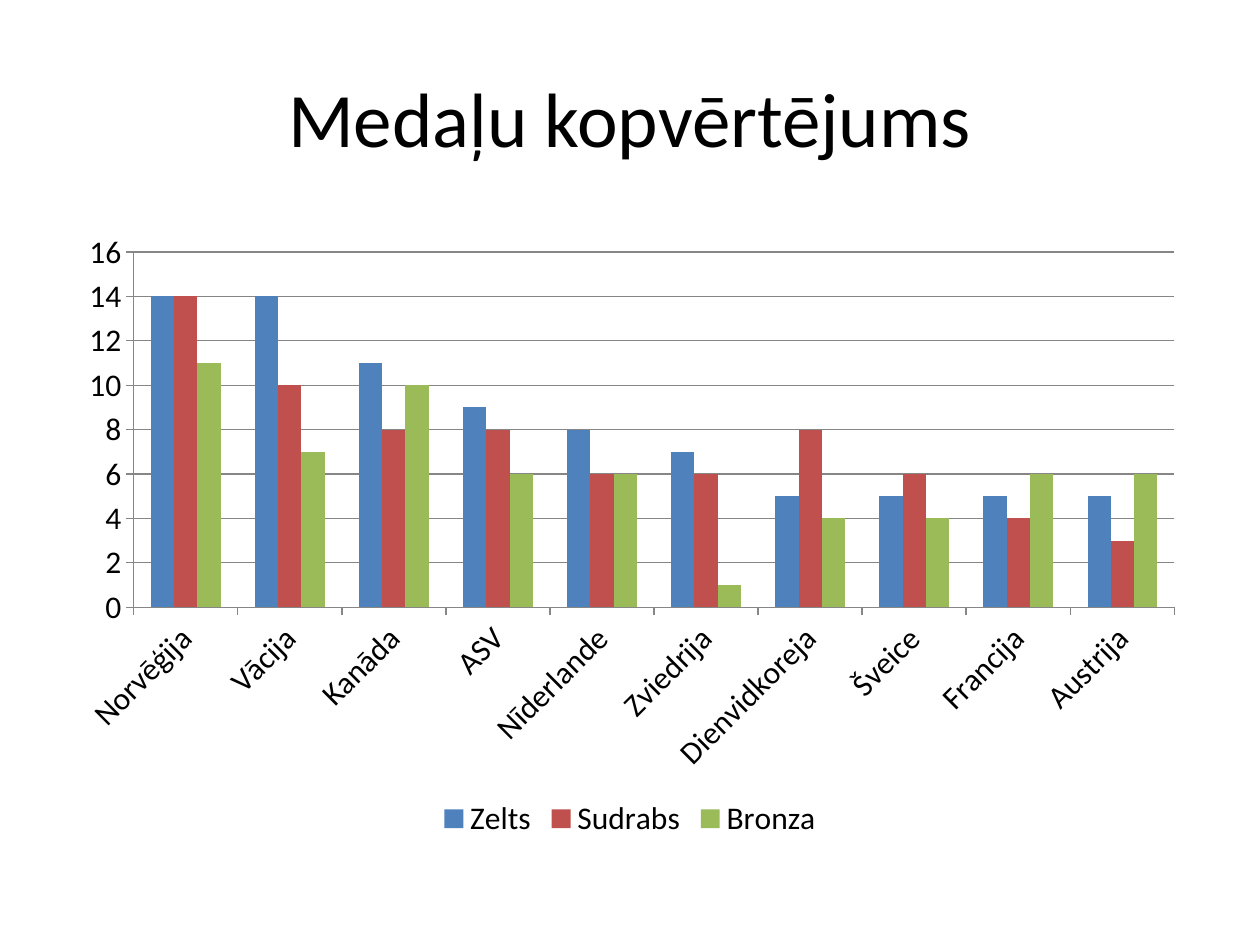
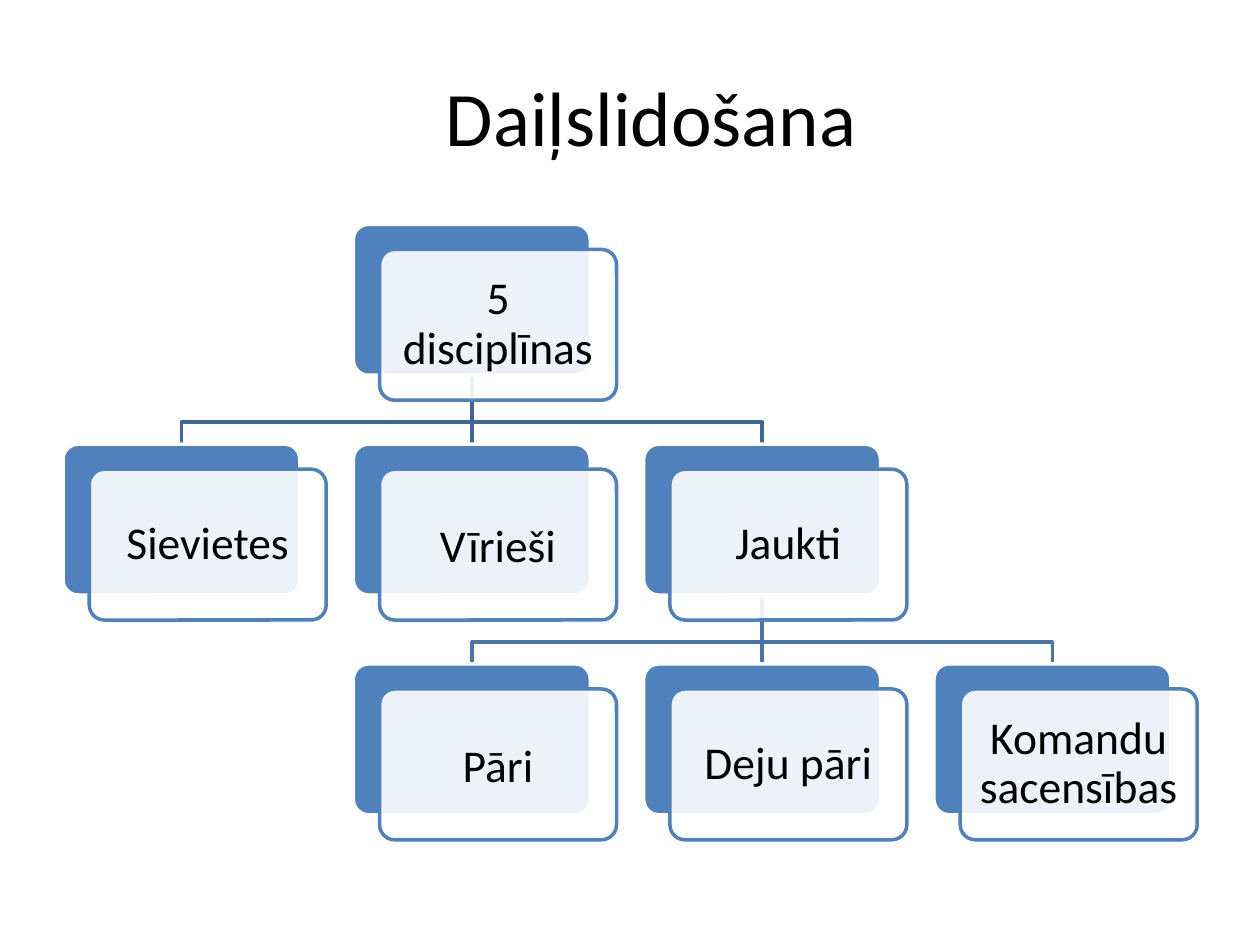
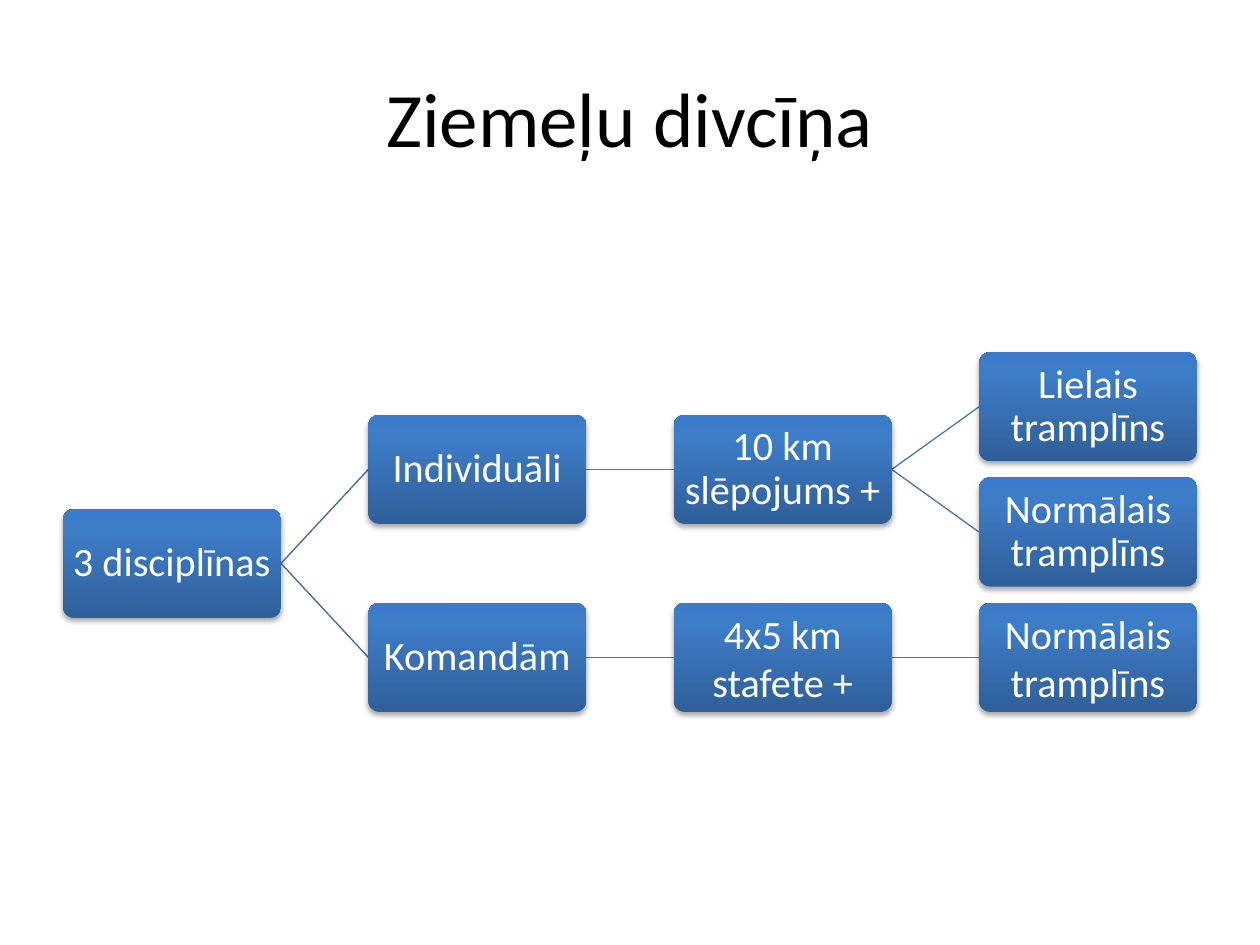
from typing import Any, NamedTuple

import lxml.etree
import pptx
import pptx.chart.data
import pptx.dml.color
import pptx.enum.chart
import pptx.enum.shapes
import pptx.enum.text
import pptx.oxml.ns
import pptx.util

Pt = pptx.util.Pt
RGBColor = pptx.dml.color.RGBColor
qn = pptx.oxml.ns.qn
MSO_SHAPE = pptx.enum.shapes.MSO_SHAPE

FONT = "Calibri"
BLACK = RGBColor(0x00, 0x00, 0x00)
WHITE = RGBColor(0xFF, 0xFF, 0xFF)
BLUE = RGBColor(0x4F, 0x81, 0xBD)
RED = RGBColor(0xC0, 0x50, 0x4D)
GREEN = RGBColor(0x9B, 0xBB, 0x59)
AXIS_GREY = RGBColor(0x86, 0x86, 0x86)
LINK_DARK = RGBColor(0x3F, 0x67, 0x97)
LINK_LIGHT = RGBColor(0x48, 0x75, 0xAC)
GRADIENT = (
    (0, RGBColor(0x2F, 0x5F, 0x99)),
    (80, RGBColor(0x3D, 0x7C, 0xC7)),
    (100, RGBColor(0x3A, 0x7C, 0xCB)),
)


class Node(NamedTuple):
    """A box on a grid; col and row count grid steps."""
    col: float
    row: float
    text: str
    tight: bool = True


class Link(NamedTuple):
    parent: Node
    child: Node
    color: RGBColor


class Grid(NamedTuple):
    """Origin, steps and box size, in points."""
    left: float
    top: float
    step_x: float
    step_y: float
    width: float
    height: float

    def corner(self, node: Node) -> tuple[float, float]:
        return self.left + node.col * self.step_x, self.top + node.row * self.step_y


class Medals(NamedTuple):
    name: str
    counts: tuple[int, ...]
    color: RGBColor


COUNTRIES = ("Norvēģija", "Vācija", "Kanāda", "ASV", "Nīderlande",
             "Zviedrija", "Dienvidkoreja", "Šveice", "Francija", "Austrija")
MEDALS = (
    Medals("Zelts", (14, 14, 11, 9, 8, 7, 5, 5, 5, 5), BLUE),
    Medals("Sudrabs", (14, 10, 8, 8, 6, 6, 8, 6, 4, 3), RED),
    Medals("Bronza", (11, 7, 10, 6, 6, 1, 4, 4, 6, 6), GREEN),
)

SKATING_GRID = Grid(36, 128.2, 165.9, 125.6, 135.4, 86.2)
SKATING = Node(1, 0, "5 disciplīnas")
WOMEN = Node(0, 1, "Sievietes")
MEN = Node(1, 1, "Vīrieši", tight=False)
MIXED = Node(2, 1, "Jaukti")
PAIRS = Node(1, 2, "Pāri", tight=False)
DANCE = Node(2, 2, "Deju pāri")
TEAM_EVENT = Node(3, 2, "Komandu sacensības")
SKATING_NODES = (SKATING, WOMEN, MEN, MIXED, PAIRS, DANCE, TEAM_EVENT)
SKATING_LINKS = (
    *(Link(MIXED, child, LINK_LIGHT) for child in (TEAM_EVENT, DANCE, PAIRS)),
    *(Link(SKATING, child, LINK_DARK) for child in (MIXED, MEN, WOMEN)),
)

NORDIC_GRID = Grid(36, 201.3, 174.5, 35.8, 124.6, 62.3)
NORDIC = Node(0, 2.5, "3 disciplīnas")
INDIVIDUAL = Node(1, 1, "Individuāli")
SKI_10 = Node(2, 1, "10 km slēpojums +")
LARGE_HILL = Node(3, 0, "Lielais tramplīns")
NORMAL_HILL = Node(3, 2, "Normālais tramplīns")
TEAMS = Node(1, 4, "Komandām")
RELAY = Node(2, 4, "4x5 km stafete +", tight=False)
TEAM_HILL = Node(3, 4, "Normālais tramplīns", tight=False)
NORDIC_NODES = (NORDIC, INDIVIDUAL, SKI_10, LARGE_HILL, NORMAL_HILL,
                TEAMS, RELAY, TEAM_HILL)
NORDIC_LINKS = (
    Link(NORDIC, INDIVIDUAL, LINK_DARK),
    Link(INDIVIDUAL, SKI_10, LINK_LIGHT),
    Link(SKI_10, LARGE_HILL, LINK_LIGHT),
    Link(SKI_10, NORMAL_HILL, LINK_LIGHT),
    Link(NORDIC, TEAMS, LINK_DARK),
    Link(TEAMS, RELAY, LINK_LIGHT),
    Link(RELAY, TEAM_HILL, LINK_LIGHT),
)


def write_text(sp: Any, text: str, size: float, color: RGBColor,
               inset: float | None = None, tight: bool = False) -> None:
    tf = sp.text_frame
    tf.word_wrap = True
    tf.vertical_anchor = pptx.enum.text.MSO_ANCHOR.MIDDLE
    if inset is not None:
        tf.margin_left = tf.margin_right = tf.margin_top = tf.margin_bottom = Pt(inset)
    p = tf.paragraphs[0]
    p.alignment = pptx.enum.text.PP_ALIGN.CENTER
    if tight:
        p.line_spacing = 0.9
        p.space_after = Pt(round(0.35 * size))
    r = p.add_run()
    r.text = text
    r.font.name = FONT
    r.font.size = Pt(size)
    r.font.color.rgb = color


def add_titled_slide(prs: Any, title: str, left: float = 36, top: float = 21.6) -> Any:
    s = prs.slides.add_slide(prs.slide_layouts[6])
    sp = s.shapes.add_textbox(Pt(left), Pt(top), Pt(648), Pt(90))
    write_text(sp, title, 44, BLACK)
    return s


def add_round_box(s: Any, x: float, y: float, grid: Grid) -> Any:
    sp = s.shapes.add_shape(MSO_SHAPE.ROUNDED_RECTANGLE,
                            Pt(x), Pt(y), Pt(grid.width), Pt(grid.height))
    sp.adjustments[0] = 0.1
    sp.shadow.inherit = False
    return sp


def fill_solid(sp: Any, fill: RGBColor, line: RGBColor) -> None:
    sp.fill.solid()
    sp.fill.fore_color.rgb = fill
    sp.line.color.rgb = line
    sp.line.width = Pt(2)


def add_color_xml(parent: Any, color: RGBColor, alpha: int | None = None) -> None:
    clr = lxml.etree.SubElement(parent, qn("a:srgbClr"), val=str(color))
    if alpha is not None:
        lxml.etree.SubElement(clr, qn("a:alpha"), val=str(alpha * 1000))


def add_straight_line(s: Any, x1: float, y1: float, x2: float, y2: float,
                      color: RGBColor, width: float) -> None:
    line = s.shapes.add_connector(pptx.enum.shapes.MSO_CONNECTOR.STRAIGHT,
                                  Pt(x1), Pt(y1), Pt(x2), Pt(y2))
    line.line.color.rgb = color
    line.line.width = Pt(width)
    lxml.etree.SubElement(line.element.spPr, qn("a:effectLst"))


def add_tree_link(s: Any, link: Link, grid: Grid) -> None:
    """Run from the parent's bottom to the child's top, bending just above the child."""
    (px, py), (cx, cy) = grid.corner(link.parent), grid.corner(link.child)
    px, cx, py = px + grid.width / 2, cx + grid.width / 2, py + grid.height
    if link.parent.col == link.child.col:
        add_straight_line(s, px, py, cx, cy, link.color, 2)
        return
    bend = cy - 12.5
    builder = s.shapes.build_freeform(Pt(px), Pt(py))
    builder.add_line_segments([(Pt(px), Pt(bend)), (Pt(cx), Pt(bend)), (Pt(cx), Pt(cy))],
                              close=False)
    sp = builder.convert_to_shape()
    sp.shadow.inherit = False
    sp.fill.background()
    sp.line.color.rgb = link.color
    sp.line.width = Pt(2)


def add_layered_node(s: Any, node: Node, grid: Grid) -> None:
    """Blue card with a translucent white card, holding the text, in front of it."""
    x, y = grid.corner(node)
    fill_solid(add_round_box(s, x, y, grid), BLUE, WHITE)
    front = add_round_box(s, x + 15, y + 14.3, grid)
    fill_solid(front, WHITE, BLUE)
    clr = front.element.spPr.find(qn("a:solidFill")).find(qn("a:srgbClr"))
    lxml.etree.SubElement(clr, qn("a:alpha"), val="90000")
    write_text(front, node.text, 26, BLACK, inset=8, tight=node.tight)


def add_gradient_node(s: Any, node: Node, grid: Grid) -> None:
    sp = add_round_box(s, *grid.corner(node), grid)
    sp.line.fill.background()
    sp.fill.gradient()
    sp.fill.gradient_angle = 90
    stops = sp.element.spPr.find(qn("a:gradFill")).find(qn("a:gsLst"))
    for stop in list(stops):
        stops.remove(stop)
    for pos, color in GRADIENT:
        add_color_xml(lxml.etree.SubElement(stops, qn("a:gs"), pos=str(pos * 1000)), color)
    shadow = lxml.etree.SubElement(
        sp.element.spPr.find(qn("a:effectLst")), qn("a:outerShdw"),
        blurRad=str(Pt(3.1)), dist=str(Pt(1.8)), dir="5400000", rotWithShape="0")
    add_color_xml(shadow, BLACK, 35)
    write_text(sp, node.text, 23, WHITE, inset=1.4, tight=node.tight)


def build_medals(prs: Any) -> None:
    s = add_titled_slide(prs, "Medaļu kopvērtējums")
    data = pptx.chart.data.CategoryChartData()
    data.categories = COUNTRIES
    for medals in MEDALS:
        data.add_series(medals.name, medals.counts)
    chart = s.shapes.add_chart(pptx.enum.chart.XL_CHART_TYPE.COLUMN_CLUSTERED,
                               Pt(36), Pt(126), Pt(648), Pt(356.4), data).chart
    chart.has_title = False
    chart.font.name = FONT
    chart.font.size = Pt(18)
    chart.font.color.rgb = BLACK
    chart.has_legend = True
    chart.legend.position = pptx.enum.chart.XL_LEGEND_POSITION.BOTTOM
    chart.legend.include_in_layout = False
    plot = chart.plots[0]
    plot.vary_by_categories = False
    plot.gap_width = 150
    plot.overlap = 0
    for series, medals in zip(plot.series, MEDALS):
        series.format.fill.solid()
        series.format.fill.fore_color.rgb = medals.color
    chart.value_axis.has_major_gridlines = True
    for part in (chart.category_axis, chart.value_axis, chart.value_axis.major_gridlines):
        part.format.line.color.rgb = AXIS_GREY
        part.format.line.width = Pt(0.75)


def build_skating(prs: Any) -> None:
    s = add_titled_slide(prs, "Daiļslidošana", 48.2, 20.9)
    for link in SKATING_LINKS:
        add_tree_link(s, link, SKATING_GRID)
    for node in SKATING_NODES:
        add_layered_node(s, node, SKATING_GRID)


def build_nordic(prs: Any) -> None:
    s = add_titled_slide(prs, "Ziemeļu divcīņa")
    grid = NORDIC_GRID
    for link in NORDIC_LINKS:
        (px, py), (cx, cy) = grid.corner(link.parent), grid.corner(link.child)
        add_straight_line(s, px + grid.width, py + grid.height / 2,
                          cx, cy + grid.height / 2, link.color, 0.75)
    for node in NORDIC_NODES:
        add_gradient_node(s, node, grid)


def main() -> None:
    prs = pptx.Presentation()
    prs.slide_width = Pt(720)
    prs.slide_height = Pt(540)
    build_medals(prs)
    build_skating(prs)
    build_nordic(prs)
    prs.save("out.pptx")


if __name__ == "__main__":
    main()
